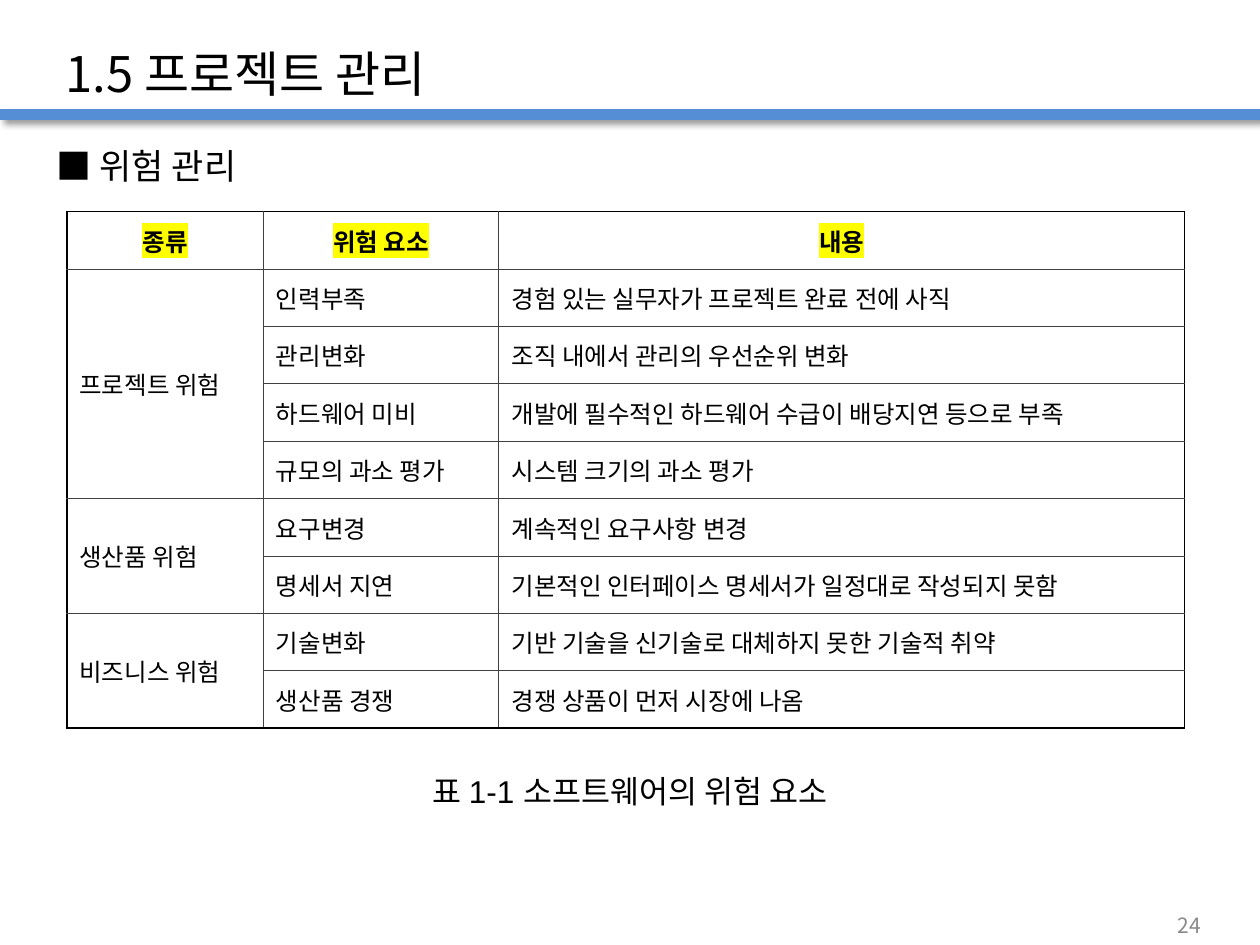
from lxml import etree
from pptx import Presentation
from pptx.dml.color import RGBColor
from pptx.enum import shapes, text
from pptx.oxml import parse_xml
from pptx.oxml.ns import nsdecls, qn
from pptx.util import Inches, Pt

FONT = "Noto Sans CJK KR"
BLACK, GREY, BLUE, YELLOW = "000000", "404040", "558ED5", "FFFF00"
HEADER = ("종류", "위험 요소", "내용")
RISKS = {
    "프로젝트 위험": [
        ("인력부족", "경험 있는 실무자가 프로젝트 완료 전에 사직"),
        ("관리변화", "조직 내에서 관리의 우선순위 변화"),
        ("하드웨어 미비", "개발에 필수적인 하드웨어 수급이 배당지연 등으로 부족"),
        ("규모의 과소 평가", "시스템 크기의 과소 평가"),
    ],
    "생산품 위험": [
        ("요구변경", "계속적인 요구사항 변경"),
        ("명세서 지연", "기본적인 인터페이스 명세서가 일정대로 작성되지 못함"),
    ],
    "비즈니스 위험": [
        ("기술변화", "기반 기술을 신기술로 대체하지 못한 기술적 취약"),
        ("생산품 경쟁", "경쟁 상품이 먼저 시장에 나옴"),
    ],
}


def rgb(value):
    return RGBColor.from_string(value)


def write(tf, words, size, color=BLACK, font=FONT, bold=False,
          align=text.PP_ALIGN.LEFT, highlight=None):
    tf.text = words
    p = tf.paragraphs[0]
    p.alignment = align
    r = p.runs[0]
    r.font.size, r.font.bold = Pt(size), bold
    r.font.color.rgb = rgb(color)
    rPr = r.font._element
    if highlight:
        mark = etree.SubElement(rPr, qn("a:highlight"))
        etree.SubElement(mark, qn("a:srgbClr"), val=highlight)
    r.font.name = font
    etree.SubElement(rPr, qn("a:ea"), typeface=FONT)


def place(sp, left, top, width, height, anchor, wrap=True):
    sp.left, sp.top = Inches(left), Inches(top)
    sp.width, sp.height = Inches(width), Inches(height)
    tf = sp.text_frame
    tf.auto_size = text.MSO_AUTO_SIZE.NONE
    tf.vertical_anchor, tf.word_wrap = anchor, wrap
    return tf


def add_rule(s, top):
    """Draw the shadowed bar under the title, across the slide."""
    rule = s.shapes.add_connector(shapes.MSO_CONNECTOR.STRAIGHT,
                                  0, Inches(top), Inches(10), Inches(top))
    rule.line.color.rgb, rule.line.width = rgb(BLUE), Pt(6)
    rule._element.spPr.append(parse_xml(
        f'<a:effectLst {nsdecls("a")}>'
        f'<a:outerShdw blurRad="{Pt(4)}" dist="{Pt(3)}" dir="2700000" algn="tl" rotWithShape="0">'
        '<a:srgbClr val="000000"><a:alpha val="40000"/></a:srgbClr>'
        '</a:outerShdw></a:effectLst>'))


def add_title(s, words, box):
    tf = place(s.shapes.title, *box, text.MSO_ANCHOR.BOTTOM)
    write(tf, words, 28)


def add_heading(s, words, box):
    tf = place(s.placeholders[1], *box, text.MSO_ANCHOR.MIDDLE, wrap=False)
    write(tf, words, 20)
    p = tf.paragraphs[0]
    p.space_before = Pt(0)
    pPr = p._p.get_or_add_pPr()
    pPr.set("marL", "0")
    pPr.set("indent", "0")
    etree.SubElement(pPr, qn("a:buNone"))


def set_borders(cell, outer):
    """Draw black lines on the outer sides and thin grey ones elsewhere."""
    tcPr = cell._tc.get_or_add_tcPr()
    for side in "LRTB":
        color, width = (BLACK, 1) if side in outer else (GREY, 0.5)
        ln = etree.SubElement(tcPr, qn(f"a:ln{side}"), w=str(Pt(width)))
        fill = etree.SubElement(ln, qn("a:solidFill"))
        etree.SubElement(fill, qn("a:srgbClr"), val=color)


def add_risk_table(s, left, top, width, height):
    rows = [HEADER] + [(kind if i == 0 else "", *risk)
                       for kind, risks in RISKS.items()
                       for i, risk in enumerate(risks)]
    last_row, last_col = len(rows) - 1, len(HEADER) - 1
    table = s.shapes.add_table(len(rows), len(HEADER), Inches(left), Inches(top),
                               Inches(width), Inches(height)).table
    for column, col_width in zip(table.columns, (1.56, 1.87, 5.44)):
        column.width = Inches(col_width)

    start = 1
    for risks in RISKS.values():
        end = start + len(risks) - 1
        table.cell(start, 0).merge(table.cell(end, 0))
        start = end + 1

    for i, row in enumerate(rows):
        for j, words in enumerate(row):
            cell = table.cell(i, j)
            bottom = i + (cell.span_height if cell.is_merge_origin else 1) - 1
            edges = {"L": j == 0, "R": j == last_col, "T": i == 0, "B": bottom == last_row}
            set_borders(cell, [side for side, is_outer in edges.items() if is_outer])
            cell.fill.background()
            cell.vertical_anchor = text.MSO_ANCHOR.MIDDLE
            if i == 0:
                write(cell.text_frame, words, 14, bold=True,
                      align=text.PP_ALIGN.CENTER, highlight=YELLOW)
            elif words:
                write(cell.text_frame, words, 14)


def add_caption(s, words, box):
    sp = s.shapes.add_textbox(0, 0, 0, 0)
    tf = place(sp, *box, text.MSO_ANCHOR.MIDDLE, wrap=False)
    write(tf, words, 18, font="Arial", align=text.PP_ALIGN.CENTER)


def add_page_number(s, number, box):
    sp = s.shapes.add_textbox(0, 0, 0, 0)
    tf = place(sp, *box, text.MSO_ANCHOR.TOP)
    tf.margin_top = tf.margin_bottom = Inches(0.02)
    write(tf, number, 12, color="898989")


def main():
    prs = Presentation()
    prs.slide_width, prs.slide_height = Inches(10), Inches(7.5)
    s = prs.slides.add_slide(prs.slide_layouts[1])
    add_rule(s, 0.91)
    add_risk_table(s, 0.53, 1.68, 8.88, 4.1)
    add_page_number(s, "24", (9.25, 7.22, 0.65, 0.19))
    add_caption(s, "표 1-1 소프트웨어의 위험 요소", (2.4, 5.96, 5.2, 0.63))
    add_heading(s, "■ 위험 관리", (0.35, 1.07, 3.54, 0.48))
    add_title(s, "1.5 프로젝트 관리", (0.42, 0.26, 8.27, 0.6))
    prs.save("out.pptx")


if __name__ == "__main__":
    main()
